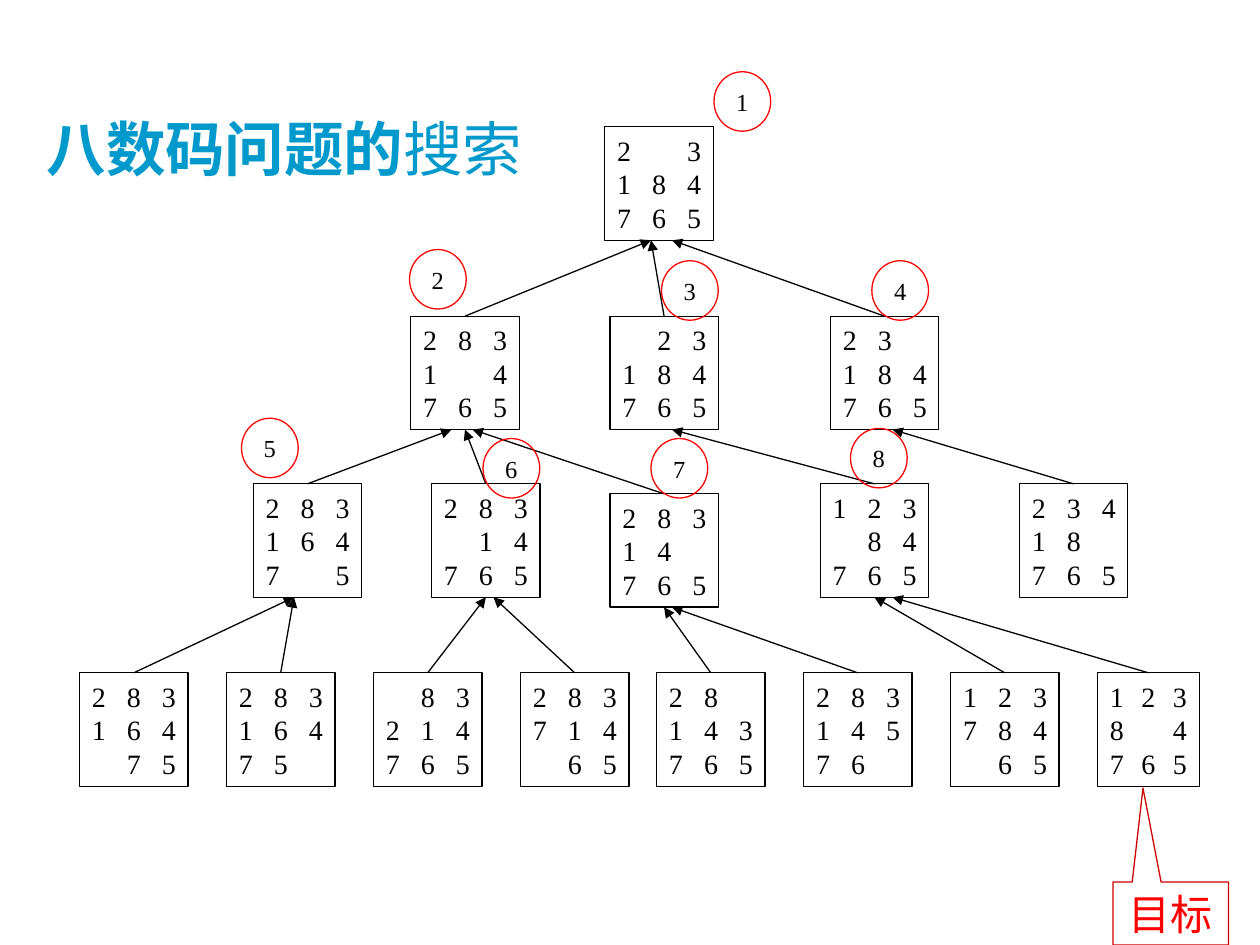
from lxml import etree
from pptx import Presentation
from pptx.dml.color import RGBColor
from pptx.enum import shapes, text
from pptx.oxml.ns import qn
from pptx.util import Pt

THEME = {
    "black": RGBColor(0x00, 0x00, 0x00),
    "red": RGBColor(0xFF, 0x00, 0x00),
    "dark_red": RGBColor(0xCC, 0x00, 0x00),
    "blue": RGBColor(0x00, 0x99, 0xCC),
    "font": "Times New Roman",
    "title_font": "DejaVu Sans",
    "title_size": Pt(34),
    "goal_size": Pt(24),
    "board_size": Pt(16),
    "badge_size": Pt(14),
    "line_width": Pt(0.75),
}


def add_outline(kind, left, top, width, height, line_color, margins, wrap):
    shape = slide.shapes.add_shape(kind, Pt(left), Pt(top), Pt(width), Pt(height))
    shape.shadow.inherit = False
    shape.fill.background()
    shape.line.color.rgb = line_color
    shape.line.width = THEME["line_width"]
    frame_format = {"word_wrap": wrap, "vertical_anchor": text.MSO_ANCHOR.MIDDLE}
    for side, margin in zip(("left", "top", "right", "bottom"), margins):
        frame_format[f"margin_{side}"] = Pt(margin)
    for name, value in frame_format.items():
        setattr(shape.text_frame, name, value)
    return shape


def add_run(paragraph, words, size, color, font=THEME["font"], bold=False):
    run = paragraph.add_run()
    run.text = words
    for name, value in {"name": font, "size": size, "bold": bold}.items():
        setattr(run.font, name, value)
    run.font.color.rgb = color


presentation = Presentation()
presentation.slide_width, presentation.slide_height = Pt(720), Pt(540)
slide = presentation.slides.add_slide(presentation.slide_layouts[5])

# Title
title = slide.shapes.title
title_box = {"left": 19.5, "top": 54.7, "width": 306, "height": 54}
for name, value in title_box.items():
    setattr(title, name, Pt(value))
title.text_frame.vertical_anchor = text.MSO_ANCHOR.BOTTOM
title.text_frame.word_wrap = True
paragraph = title.text_frame.paragraphs[0]
paragraph.alignment = text.PP_ALIGN.LEFT
for words, bold in (("八数码问题的", True), ("搜索", False)):
    add_run(paragraph, words, THEME["title_size"], THEME["blue"], THEME["title_font"], bold)

# Puzzle boards: left, top and the three rows, a space being the empty square
BOARD_WIDTH, BOARD_HEIGHT, COLUMN_STEP = 62, 64.8, 20
LAST_WIDTH, LAST_STEP = 58.3, 18
ROOT_TOP, SECOND_TOP, THIRD_TOP, LEAF_TOP = 72.5, 180.7, 276.5, 384.5
boards = {
    "root": (345.6, ROOT_TOP, "2 3/184/765"),
    "left": (234.7, SECOND_TOP, "283/1 4/765"),
    "middle": (348.5, SECOND_TOP, " 23/184/765"),
    "right": (474.5, SECOND_TOP, "23 /184/765"),
    "left a": (144.7, THIRD_TOP, "283/164/7 5"),
    "left b": (246.6, THIRD_TOP, "283/ 14/765"),
    "left c": (348.5, 282.2, "283/14 /765"),
    "middle a": (468.7, THIRD_TOP, "123/ 84/765"),
    "right a": (582.5, THIRD_TOP, "234/18 /765"),
}
leaves = ["283/164/ 75", "283/164/75 ", " 83/214/765", "283/714/ 65",
          "28 /143/765", "283/145/76 ", "123/784/ 65", "123/8 4/765"]
for index, rows in enumerate(leaves):
    half_shift = 6.2 if index >= 4 else 0
    boards[f"leaf {index}"] = (45.4 + 84 * index - half_shift, LEAF_TOP, rows)

board_shapes = {}
for name, (left, top, rows) in boards.items():
    is_goal = name == "leaf 7"
    width, step = (LAST_WIDTH, LAST_STEP) if is_goal else (BOARD_WIDTH, COLUMN_STEP)
    shape = add_outline(shapes.MSO_SHAPE.RECTANGLE, left, top, width, BOARD_HEIGHT,
                        THEME["black"], (7.2, 3.6, 0, 3.6), True)
    board_shapes[name] = shape
    for index, row in enumerate(rows.split("/")):
        frame = shape.text_frame
        paragraph = frame.add_paragraph() if index else frame.paragraphs[0]
        paragraph.alignment = text.PP_ALIGN.LEFT
        tabs = etree.SubElement(paragraph._p.get_or_add_pPr(), qn("a:tabLst"))
        for column in (1, 2):
            etree.SubElement(tabs, qn("a:tab"), pos=str(Pt(step * column)), algn="l")
        words = "\t".join(row.rstrip()).replace(" ", "")
        add_run(paragraph, words, THEME["board_size"], THEME["black"])

# Arrows from child to parent; a number is the x of the tip, None the middle
arrows = [
    ("left", "root", 372), ("middle", "root", 372), ("right", "root", 384),
    ("left a", "left", 258), ("left b", "left", None), ("left c", "left", 270),
    ("middle a", "middle", 384), ("right a", "right", 510),
    ("leaf 0", "left a", 168), ("leaf 1", "left a", 168),
    ("leaf 2", "left b", None), ("leaf 3", "left b", 282),
    ("leaf 4", "left c", None), ("leaf 5", "left c", 384),
    ("leaf 6", "middle a", None), ("leaf 7", "middle a", 510),
]
for child, parent, tip in arrows:
    parent_shape = board_shapes[parent]
    tip_y = parent_shape.top + parent_shape.height
    arrow = slide.shapes.add_connector(shapes.MSO_CONNECTOR.STRAIGHT, 0, 0, Pt(tip or 0), tip_y)
    arrow.begin_connect(board_shapes[child], 0)
    if tip is None:
        arrow.end_connect(parent_shape, 2)
    arrow.line.color.rgb = THEME["black"]
    arrow.line.width = THEME["line_width"]
    etree.SubElement(arrow.line._get_or_add_ln(), qn("a:tailEnd"), type="triangle")
    etree.SubElement(arrow._element.spPr, qn("a:effectLst"))

# Numbered badges in order of search
badges = [(408, 41), (234, 142.6), (378, 149), (498.2, 149),
          (138, 239), (276, 250.6), (372, 250.6), (486, 244.8)]
for number, (left, top) in enumerate(badges, 1):
    badge = add_outline(shapes.MSO_SHAPE.OVAL, left, top, 32.4, 34,
                        THEME["red"], (0, 0, 0, 0), True)
    paragraph = badge.text_frame.paragraphs[0]
    paragraph.alignment = text.PP_ALIGN.CENTER
    add_run(paragraph, str(number), THEME["badge_size"], THEME["black"])

# Goal callout
callout = add_outline(shapes.MSO_SHAPE.RECTANGULAR_CALLOUT, 636, 504, 66, 36,
                      THEME["dark_red"], (7.2, 3.6, 7.2, 3.6), False)
callout.adjustments[0], callout.adjustments[1] = -0.24, -1.99
paragraph = callout.text_frame.paragraphs[0]
paragraph.alignment = text.PP_ALIGN.CENTER
add_run(paragraph, "目标", THEME["goal_size"], THEME["red"])

presentation.save("out.pptx")
